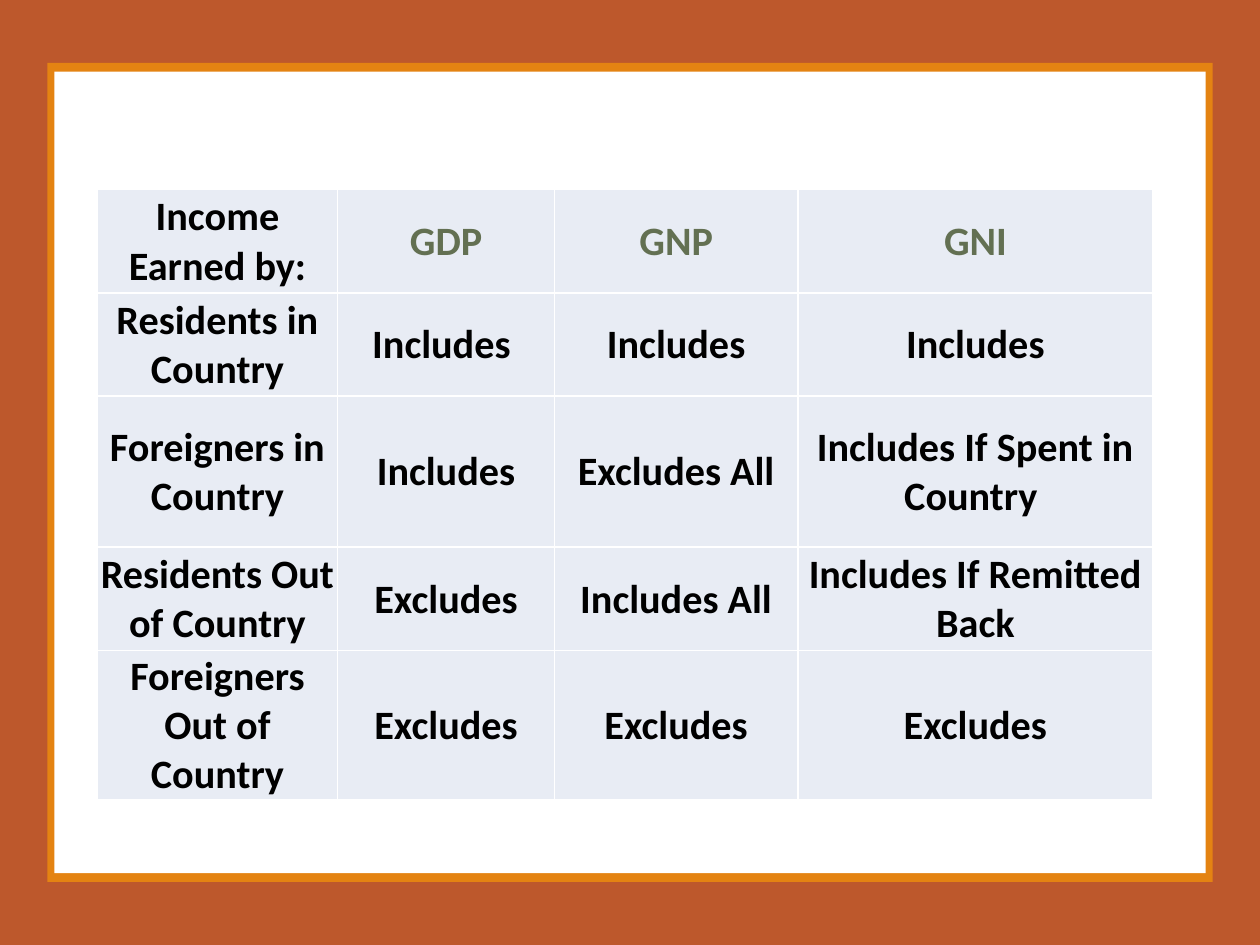
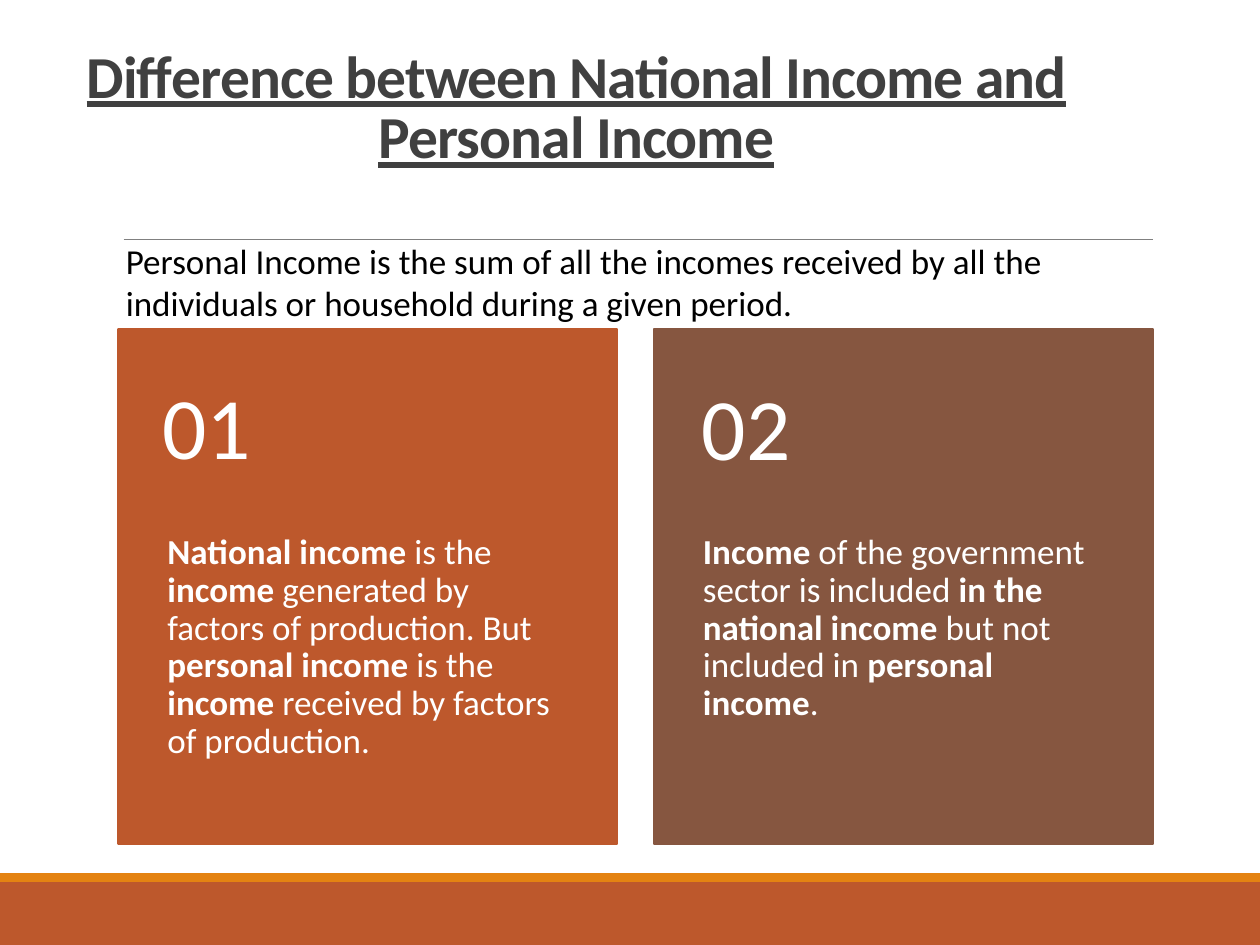
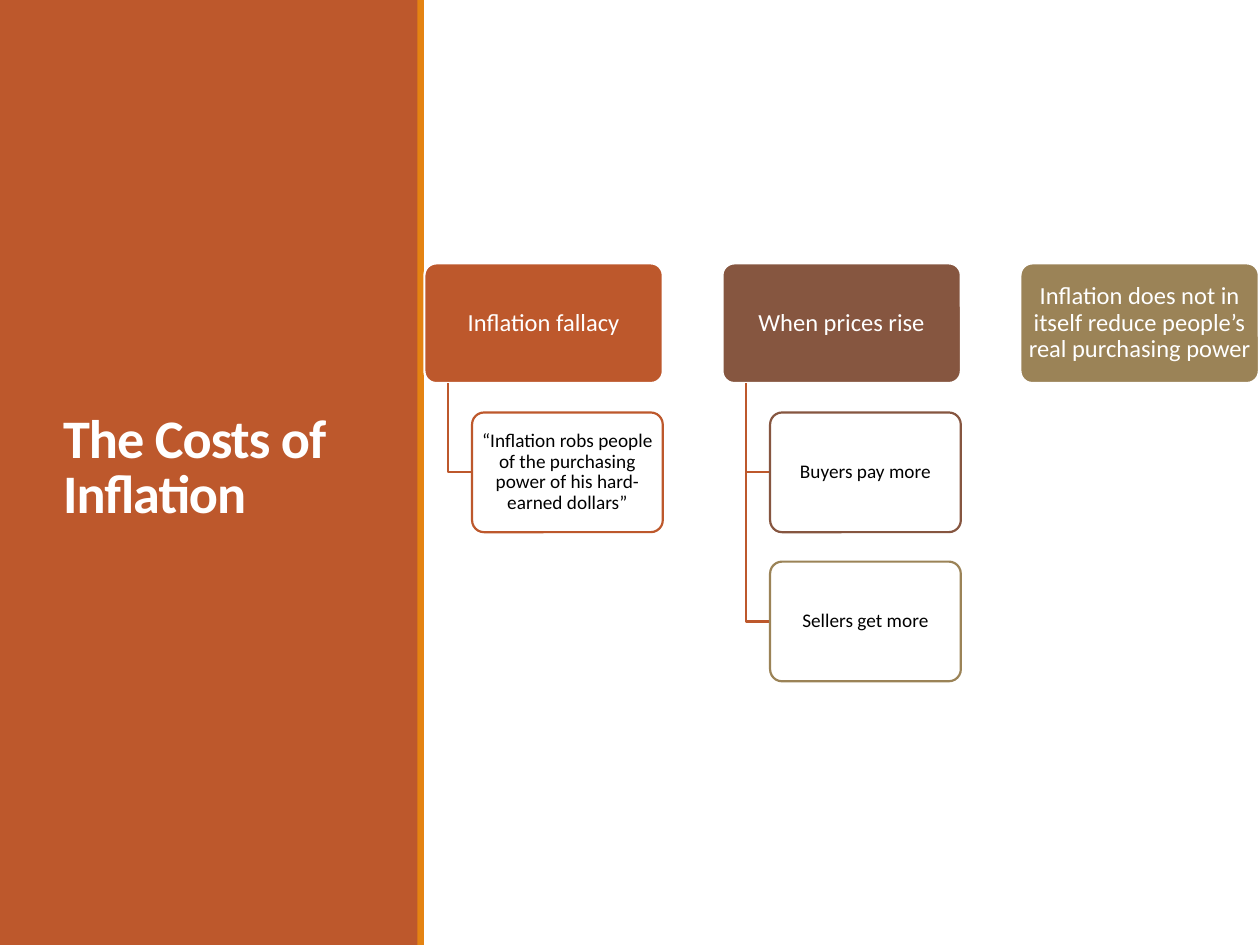
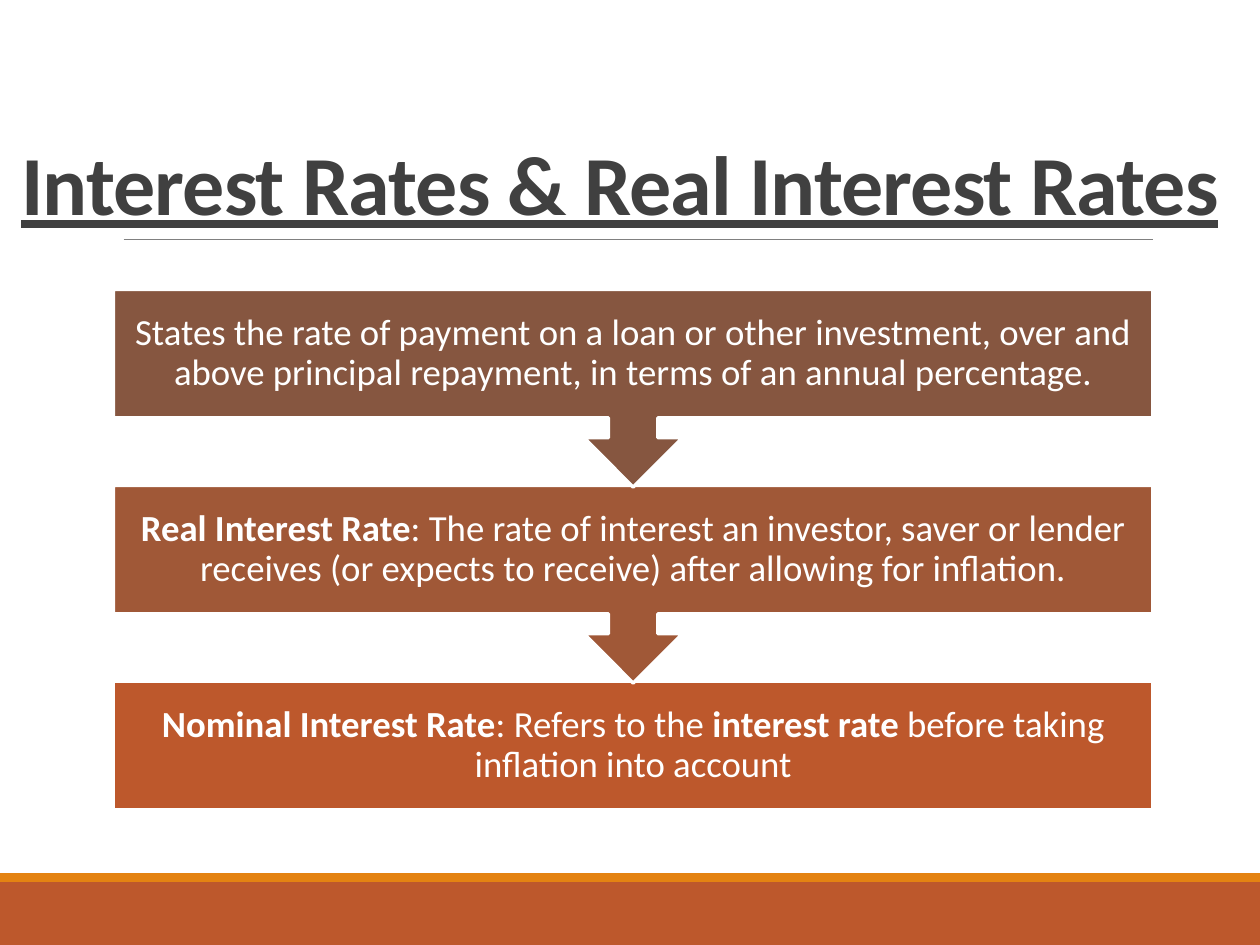
"""Build four slides on national income, inflation and interest rates."""
from lxml import etree
from pptx import Presentation
from pptx.dml.color import RGBColor
from pptx.enum import shapes, text
from pptx.oxml.ns import qn
from pptx.util import Pt

COLORS = {
    "rust": "BD582C", "orange": "E48312", "brown": "865640", "sienna": "A05837",
    "olive": "9B8357", "green": "637052", "pale": "E8ECF4", "white": "FFFFFF",
    "black": "000000", "dark": "404040", "gray": "808080",
}
FONT = "Calibri"
CENTER, LEFT = text.PP_ALIGN.CENTER, text.PP_ALIGN.LEFT
TOP, MIDDLE, BOTTOM = text.MSO_ANCHOR.TOP, text.MSO_ANCHOR.MIDDLE, text.MSO_ANCHOR.BOTTOM
RECT = shapes.MSO_SHAPE.RECTANGLE
ROUNDED = shapes.MSO_SHAPE.ROUNDED_RECTANGLE
CALLOUT = shapes.MSO_SHAPE.DOWN_ARROW_CALLOUT


def add_box(page, kind, frame, fill, line=None, weight=1.25):
    box = page.shapes.add_shape(kind, *map(Pt, frame))
    box.shadow.inherit = False
    box.fill.solid()
    box.fill.fore_color.rgb = RGBColor.from_string(COLORS[fill])
    if line:
        box.line.color.rgb = RGBColor.from_string(COLORS[line])
        box.line.width = Pt(weight)
    else:
        box.line.fill.background()
    return box


def write(holder, words, size=20, color="white", bold=False, underline=False, align=LEFT,
          anchor=MIDDLE, margins=(7.2, 3.6, 7.2, 3.6), leading=0.9, tracking=0):
    frame = getattr(holder, "text_frame", holder)
    frame.word_wrap = True
    frame.auto_size = text.MSO_AUTO_SIZE.NONE
    holder.vertical_anchor = anchor
    holder.margin_left, holder.margin_top, holder.margin_right, holder.margin_bottom = map(Pt, margins)
    para = frame.paragraphs[0]
    para.alignment = align
    para.line_spacing = leading
    for index, part in enumerate(words.split("**")):
        if part:
            span = para.add_run()
            span.text = part
            span.font.name = FONT
            span.font.size = Pt(size)
            span.font.bold = bold or index % 2 == 1
            span.font.underline = underline
            span.font.color.rgb = RGBColor.from_string(COLORS[color])
            if tracking:
                span.font._element.set("spc", str(int(tracking * 100)))


deck = Presentation()
deck.slide_width, deck.slide_height = Pt(720), Pt(540)
pages = [deck.slides.add_slide(deck.slide_layouts[number]) for number in (6, 5, 5, 5)]
table_page, income_page, inflation_page, rates_page = pages

footer = add_box(income_page, RECT, (0, 504, 720, 36), "rust")
stripe = add_box(income_page, RECT, (0, 499, 720, 5), "orange")
rule = income_page.shapes.add_connector(
    shapes.MSO_CONNECTOR.STRAIGHT, Pt(70.6), Pt(136.8), Pt(658.8), Pt(136.8))
rule.line.color.rgb = RGBColor.from_string(COLORS["gray"])
rule.line.width = Pt(0.5)
etree.SubElement(rule.element.spPr, qn("a:effectLst"))
for number, shared in enumerate((footer, stripe, rule)):
    shared.element.xpath(".//p:cNvPr")[0].set("id", str(20 + number))
    deck.slide_master.shapes.element.append(shared.element)

title_style = {"bold": True, "leading": 0.85, "tracking": -0.5}
titles = [
    (income_page, "Difference between National Income and Personal Income", (0, 22.3, 658.8, 114.5),
     {"size": 34, "color": "dark", "underline": True, "align": CENTER, "anchor": BOTTOM,
      "margins": (7.2, 3.6, 7.2, 39)}),
    (inflation_page, "The Costs of Inflation", (28.8, 41, 182, 454.3), {"size": 31}),
    (rates_page, "Interest Rates & Real Interest Rates", (5, 22.3, 720, 114.5),
     {"size": 48, "color": "dark", "underline": True, "anchor": BOTTOM}),
]
for page, words, frame, style in titles:
    title = page.shapes.title
    title.left, title.top, title.width, title.height = map(Pt, frame)
    write(title.text_frame, words, **title_style, **style)

for frame, fill in [((0, 0, 720, 540), "rust"), ((27, 36, 666, 468), "orange"),
                    ((31, 41, 658, 458), "white")]:
    add_box(table_page, RECT, frame, fill)

rows = [
    ("Income Earned by:", "GDP", "GNP", "GNI"),
    ("Residents in Country", "Includes ", "Includes", "Includes"),
    ("Foreigners in Country", "Includes", "Excludes All", "Includes If Spent in Country "),
    ("Residents Out of Country", "Excludes", "Includes All", "Includes If Remitted Back"),
    ("Foreigners Out of Country", "Excludes", "Excludes", "Excludes"),
]
table = table_page.shapes.add_table(5, 4, Pt(55.7), Pt(108.3), Pt(603.3), Pt(348)).table
table.first_row = table.horz_banding = False
for column, width in zip(table.columns, (137.3, 124, 139, 203)):
    column.width = Pt(width)
for row, height in zip(table.rows, (59, 59, 86.4, 59, 85)):
    row.height = Pt(height)
for row_number, row in enumerate(rows):
    for column_number, words in enumerate(row):
        cell = table.cell(row_number, column_number)
        heading = row_number == 0 and column_number > 0
        write(cell, words, size=23, color="green" if heading else "black", bold=True,
              align=CENTER, margins=(0.7, 0.7, 0.7, 0), leading=1.0)
        for side in ("a:lnL", "a:lnR", "a:lnT", "a:lnB"):
            border = etree.SubElement(cell._tc.get_or_add_tcPr(), qn(side), w=str(Pt(1)))
            paint = etree.SubElement(border, qn("a:solidFill"))
            etree.SubElement(paint, qn("a:srgbClr"), val=COLORS["white"])
        cell.fill.solid()
        cell.fill.fore_color.rgb = RGBColor.from_string(COLORS["pale"])

cards = [
    ("01", "rust", (64.8, 206, 285, 80.6),
     "**National income** is the **income** generated by factors of production. But "
     "**personal income** is the **income** received by factors of production."),
    ("02", "brown", (373, 188, 285, 118),
     "**Income** of the government sector is included **in the national income** but not "
     "included in **personal income**."),
]
for index, (label, fill, label_frame, words) in enumerate(cards):
    left = 67.7 + 306 * index
    add_box(income_page, RECT, (left, 188, 285, 294.5), fill, fill)
    body = income_page.shapes.add_textbox(*map(Pt, (left, 305.3, 285, 176.5)))
    write(body.text_frame, words, anchor=TOP, margins=(28, 0, 28, 26))
    number = income_page.shapes.add_textbox(*map(Pt, label_frame))
    write(number.text_frame, label, size=50, margins=(28, 13, 28, 13))
intro = income_page.shapes.add_textbox(Pt(64.8), Pt(133.2), Pt(594), Pt(55.4))
write(intro.text_frame, "Personal Income is the sum of all the incomes received by all the "
      "individuals or household during a given period.", color="black", anchor=TOP, leading=1.0)

add_box(inflation_page, RECT, (0, 0, 720, 540), "white")
add_box(inflation_page, RECT, (0, 0, 239, 540), "rust")
inflation_page.shapes.element.append(inflation_page.shapes.title.element)
add_box(inflation_page, RECT, (238.5, 0, 3.8, 540), "orange")

branches = [
    ("Inflation fallacy", "rust",
     [("“Inflation robs people of the purchasing power of his hard-earned dollars”", "rust")]),
    ("When prices rise", "brown", [("Buyers pay more", "brown"), ("Sellers get more", "olive")]),
    ("Inflation does not in itself reduce people’s real purchasing power", "olive", []),
]
root_top, root_width, node_height, row_pitch = 150.5, 136.25, 68.4, 85.2
for index, (words, fill, leaves) in enumerate(branches):
    left = 242.5 + 170.3 * index
    root = add_box(inflation_page, ROUNDED, (left, root_top, root_width, node_height), fill, "white")
    root.adjustments[0] = 0.1
    write(root.text_frame, words, size=14, align=CENTER, margins=(2, 2, 2, 2))
    trunk_left, leaf_left = left + root_width / 10, left + root_width / 5
    for level, (leaf_words, outline) in enumerate(leaves, 1):
        leaf_top = root_top + row_pitch * level
        leaf_middle = leaf_top + node_height / 2
        path_builder = inflation_page.shapes.build_freeform(Pt(trunk_left), Pt(root_top + node_height))
        path_builder.add_line_segments(
            [(Pt(trunk_left), Pt(leaf_middle)), (Pt(leaf_left), Pt(leaf_middle))], close=False)
        branch = path_builder.convert_to_shape()
        branch.shadow.inherit = False
        branch.fill.background()
        branch.line.color.rgb = RGBColor.from_string(COLORS["rust"])
        branch.line.width = Pt(1.25)
        leaf = add_box(inflation_page, ROUNDED,
                       (leaf_left, leaf_top, root_width * 0.8, node_height), "white", outline)
        leaf.adjustments[0] = 0.1
        etree.SubElement(leaf.element.spPr.find(".//" + qn("a:srgbClr")), qn("a:alpha"), val="90000")
        write(leaf.text_frame, leaf_words, size=11, color="black", align=CENTER,
              margins=(1.4, 1.4, 1.4, 1.4))

steps = [
    ("**Nominal Interest Rate**: Refers to the **interest rate** before taking inflation into account",
     "rust", RECT, 389.5, 73.4),
    ("**Real Interest Rate**: The rate of interest an investor, saver or lender receives "
     "(or expects to receive) after allowing for inflation.", "sienna", CALLOUT, 277.4, 113),
    ("States the rate of payment on a loan or other investment, over and above principal "
     "repayment, in terms of an annual percentage.", "brown", CALLOUT, 165.4, 113),
]
for words, fill, kind, top, height in steps:
    step = add_box(rates_page, kind, (64.8, top, 594, height), fill, "white", 2)
    write(step.text_frame, words, size=21, align=CENTER, margins=(11.5, 11.5, 11.5, 11.5))

deck.save("out.pptx")
